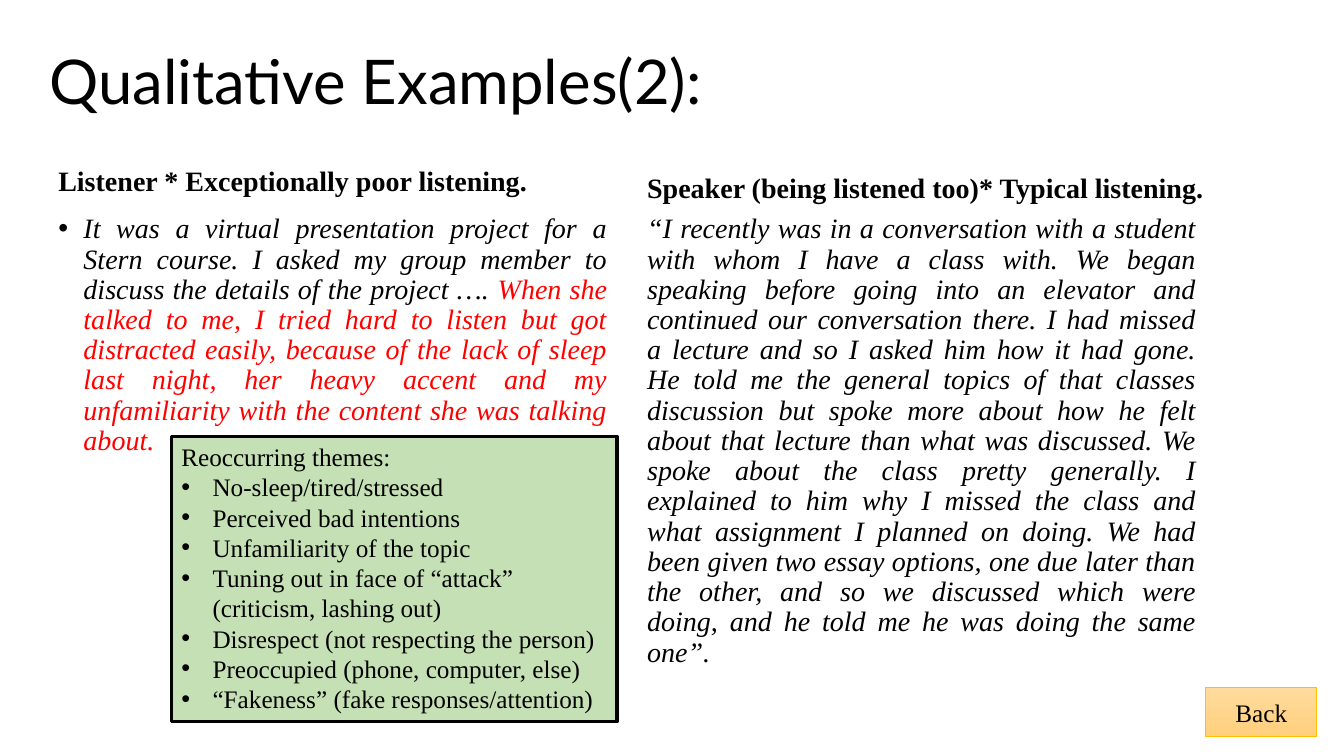
from lxml import etree
from pptx import Presentation
from pptx.dml.color import RGBColor
from pptx.enum.shapes import MSO_SHAPE
from pptx.enum.text import MSO_ANCHOR, PP_ALIGN
from pptx.oxml.ns import qn
from pptx.util import Inches, Pt

RECT = MSO_SHAPE.RECTANGLE
TOP, MIDDLE, BOTTOM = MSO_ANCHOR.TOP, MSO_ANCHOR.MIDDLE, MSO_ANCHOR.BOTTOM
LEFT, CENTER, JUSTIFY = PP_ALIGN.LEFT, PP_ALIGN.CENTER, PP_ALIGN.JUSTIFY

COLORS = {
    "black": "000000", "red": "FF0000", "green": "C5E0B4",
    "gold": "FFC000", "pale": "FFDB9E", "amber": "FFD07C",
}
SERIF = "Times New Roman"
TITLE = {"name": "Lato", "size": Pt(44)}
HEAD = {"name": SERIF, "size": Pt(20), "bold": True}
QUOTE = {"name": SERIF, "size": Pt(20), "italic": True}
LABEL = {"name": SERIF, "size": Pt(18)}

LEFT_COL, RIGHT_COL, COL_WIDTH, QUOTE_TOP = 0.48, 6.32, 5.64, 2.08

LISTENER = [
    ("It was a virtual presentation project for a Stern course. I asked my "
     "group member to discuss the details of the project …. ", "black"),
    ("When she talked to me, I tried hard to listen but got distracted easily, "
     "because of the lack of sleep last night, her heavy accent and my "
     "unfamiliarity with the content she was talking about. ", "red"),
]
SPEAKER = (
    "“I recently was in a conversation with a student with whom I have a class "
    "with. We began speaking before going into an elevator and continued our "
    "conversation there. I had missed a lecture and so I asked him how it had "
    "gone. He told me the general topics of that classes discussion but spoke "
    "more about how he felt about that lecture than what was discussed. We "
    "spoke about the class pretty generally. I explained to him why I missed "
    "the class and what assignment I planned on doing. We had been given two "
    "essay options, one due later than the other, and so we discussed which "
    "were doing, and he told me he was doing the same one”."
)
THEMES = [
    "No-sleep/tired/stressed",
    "Perceived bad intentions",
    "Unfamiliarity of the topic",
    "Tuning out in face of “attack” (criticism, lashing out)",
    "Disrespect (not respecting the person)",
    "Preoccupied (phone, computer, else)",
    "“Fakeness” (fake responses/attention)",
]


def rgb(color):
    return RGBColor.from_string(COLORS[color])


class Deck:
    def __init__(self):
        self.prs = Presentation()
        self.prs.slide_width, self.prs.slide_height = Inches(13.33), Inches(7.5)
        self.slide = self.prs.slides.add_slide(self.prs.slide_layouts[6])

    def fill_para(self, para, runs, style, align=LEFT, spacing=1.0, indent=0):
        """Fill a paragraph with (text, color) runs; an indent adds a bullet."""
        if indent:
            props = para._p.get_or_add_pPr()
            props.set("marL", str(Inches(indent)))
            props.set("indent", str(-Inches(indent)))
            etree.SubElement(props, qn("a:buFont")).set("typeface", "Arial")
            etree.SubElement(props, qn("a:buChar")).set("char", "•")
        para.alignment, para.line_spacing = align, spacing
        for text, color in runs:
            run = para.add_run()
            run.text = text
            run.font.color.rgb = rgb(color)
            for key, value in style.items():
                setattr(run.font, key, value)

    def text(self, box, runs, style, anchor=TOP, align=LEFT, indent=0):
        frame = self.slide.shapes.add_textbox(*map(Inches, box)).text_frame
        frame.word_wrap, frame.vertical_anchor = True, anchor
        self.fill_para(frame.paragraphs[0], runs, style, align, 0.9, indent)

    def panel(self, box, fills, line, width, anchor):
        """Add a rectangle with one flat color or a two-color fade downwards."""
        shape = self.slide.shapes.add_shape(RECT, *map(Inches, box))
        shape.shadow.inherit = False
        if len(fills) == 1:
            shape.fill.solid()
            shape.fill.fore_color.rgb = rgb(fills[0])
        else:
            shape.fill.gradient()
            shape.fill.gradient_angle = 270
            for stop, color in zip(shape.fill.gradient_stops, fills):
                stop.color.rgb = rgb(color)
        shape.line.color.rgb, shape.line.width = rgb(line), Pt(width)
        frame = shape.text_frame
        frame.word_wrap, frame.vertical_anchor = True, anchor
        return frame

    def themes(self, box, head, items):
        frame = self.panel(box, ["green"], "black", 2.25, TOP)
        self.fill_para(frame.paragraphs[0], [(head, "black")], LABEL)
        for item in items:
            self.fill_para(frame.add_paragraph(), [(item, "black")], LABEL,
                           indent=0.31)

    def button(self, box, label):
        frame = self.panel(box, ["pale", "amber"], "gold", 0.5, MIDDLE)
        self.fill_para(frame.paragraphs[0], [(label, "black")], LABEL, CENTER)


def main():
    deck = Deck()
    deck.text((0.39, 0.11, 11.5, 1.45), [("Qualitative Examples(2):", "black")],
              TITLE, MIDDLE)
    deck.text((LEFT_COL, 1.11, COL_WIDTH, 0.9),
              [("Listener * Exceptionally poor listening.", "black")], HEAD, BOTTOM)
    deck.text((LEFT_COL, QUOTE_TOP, COL_WIDTH, 4.74), LISTENER, QUOTE,
              align=JUSTIFY, indent=0.25)
    deck.text((RIGHT_COL, 1.18, 6.1, 0.9),
              [("Speaker (being listened too)* Typical listening.", "black")],
              HEAD, BOTTOM)
    deck.text((RIGHT_COL, QUOTE_TOP, COL_WIDTH, 5.3), [(SPEAKER, "black")], QUOTE,
              align=JUSTIFY)
    deck.themes((1.7, 4.33, 4.42, 2.83), "Reoccurring themes:", THEMES)
    deck.button((11.96, 6.82, 1.1, 0.49), "Back")
    deck.prs.save("out.pptx")


if __name__ == "__main__":
    main()
